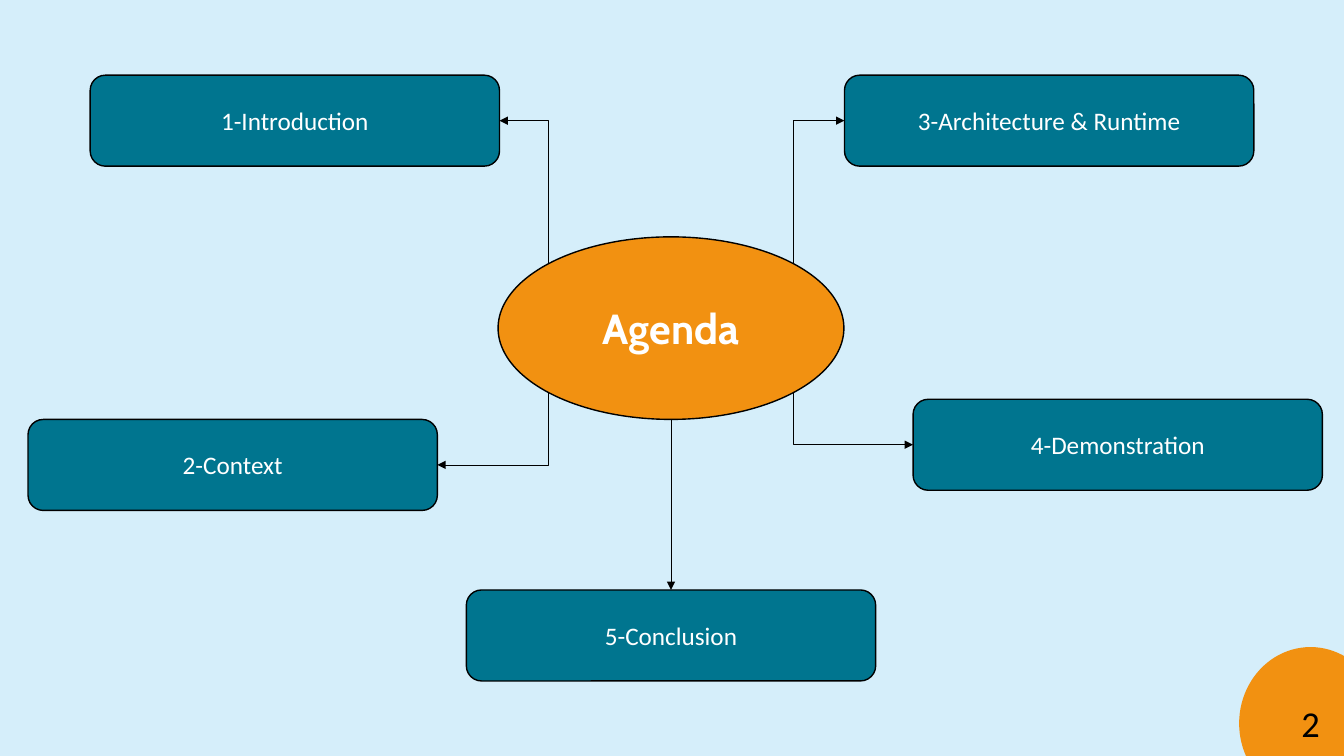
from dataclasses import dataclass
from math import sqrt

from lxml.etree import SubElement
from pptx import Presentation
from pptx.dml.color import RGBColor as RGB
from pptx.enum.shapes import MSO_CONNECTOR as CONN, MSO_SHAPE as SHAPE
from pptx.enum.text import MSO_ANCHOR as ANCHOR, PP_ALIGN as ALIGN
from pptx.oxml.ns import qn
from pptx.util import Pt


@dataclass(frozen=True)
class Theme:
    background: RGB = RGB.from_string("D5EEFA")
    accent: RGB = RGB.from_string("F29111")
    topic: RGB = RGB.from_string("00758F")
    dark: RGB = RGB.from_string("000000")
    light: RGB = RGB.from_string("FFFFFF")
    title_font: str = "Cabin"
    body_font: str = "Calibri"
    title_size: float = 30
    topic_size: float = 18
    number_size: float = 26
    outline: float = 1
    arrow: float = 0.5


class Deck:
    def __init__(self, theme, width, height):
        self.theme = theme
        self.prs = Presentation()
        self.prs.slide_width, self.prs.slide_height = Pt(width), Pt(height)

    def add_slide(self):
        self.s = self.prs.slides.add_slide(self.prs.slide_layouts[6])
        fill = self.s.background.fill
        fill.solid()
        fill.fore_color.rgb = self.theme.background

    def shape(self, kind, box, text, fill, line, color, **font):
        sp = self.s.shapes.add_shape(kind, *map(Pt, box))
        sp.shadow.inherit = False
        sp.fill.solid()
        sp.fill.fore_color.rgb = fill
        sp.line.color.rgb = line
        sp.line.width = Pt(self.theme.outline)
        tf = sp.text_frame
        tf.vertical_anchor = ANCHOR.MIDDLE
        p = tf.paragraphs[0]
        p.alignment = ALIGN.CENTER
        r = p.add_run()
        r.text = text
        for name, value in font.items():
            setattr(r.font, name, value)
        r.font.color.rgb = color
        return sp

    def ellipse(self, box, text, line, color, **font):
        return self.shape(SHAPE.FLOWCHART_CONNECTOR, box, text,
                          self.theme.accent, line, color, **font)

    def topic(self, box, text):
        t = self.theme
        return self.shape(SHAPE.ROUNDED_RECTANGLE, box, text, t.topic, t.dark,
                          t.light, name=t.body_font, size=Pt(t.topic_size))

    def arrow(self, kind, start, end, head):
        """Draw a connector with a triangle at 'headEnd' (start) or 'tailEnd'."""
        cxn = self.s.shapes.add_connector(kind, *map(Pt, (*start, *end)))
        cxn.line.color.rgb = self.theme.dark
        cxn.line.width = Pt(self.theme.arrow)
        sp_pr = cxn._element.spPr
        SubElement(sp_pr.find(qn("a:ln")), qn(f"a:{head}"), type="triangle")
        SubElement(sp_pr, qn("a:effectLst"))
        return cxn

    def elbow(self, topic_side, hub_point):
        """Bend once: level from the topic, then upright to the hub."""
        cxn = self.arrow(CONN.ELBOW, topic_side, hub_point, "headEnd")
        cxn._element.spPr.find(qn("a:prstGeom")).set("prst", "bentConnector2")


SLIDE_W, SLIDE_H = 960, 540
HUB = HUB_X, HUB_Y, HUB_W, HUB_H = 355.8, 169.2, 247, 130.4
TOPIC_W, TOPIC_H = 292.4, 65
# text, left, top, direction from topic to hub, direction from hub to topic
SIDE_TOPICS = [
    ("1-Introduction", 64.4, 53.7, 1, -1),
    ("2-Context", 20, 299.6, 1, 1),
    ("3-Architecture & Runtime", 603.2, 53.7, -1, -1),
    ("4-Demonstration", 652.2, 285.2, -1, 1),
]


def main():
    theme = Theme()
    deck = Deck(theme, SLIDE_W, SLIDE_H)
    deck.add_slide()
    deck.ellipse(HUB, "Agenda", theme.dark, theme.light, name=theme.title_font,
                 size=Pt(theme.title_size), bold=True)

    mid_x, mid_y = HUB_X + HUB_W / 2, HUB_Y + HUB_H / 2
    reach_x, reach_y = HUB_W / sqrt(8), HUB_H / sqrt(8)
    for text, x, y, toward, down in SIDE_TOPICS:
        deck.topic((x, y, TOPIC_W, TOPIC_H), text)
        side = (x + TOPIC_W if toward > 0 else x, y + TOPIC_H / 2)
        deck.elbow(side, (mid_x - toward * reach_x, mid_y + down * reach_y))

    top = 421.4
    last = deck.topic((mid_x - TOPIC_W / 2, top, TOPIC_W, TOPIC_H),
                      "5-Conclusion")
    cxn = deck.arrow(CONN.STRAIGHT, (mid_x, HUB_Y + HUB_H), (mid_x, top),
                     "tailEnd")
    cxn.end_connect(last, 0)

    deck.ellipse((885.6, 462.7, 101, 108), "2", theme.accent, theme.dark,
                 name=theme.body_font, size=Pt(theme.number_size))
    deck.prs.save("out.pptx")


if __name__ == "__main__":
    main()
